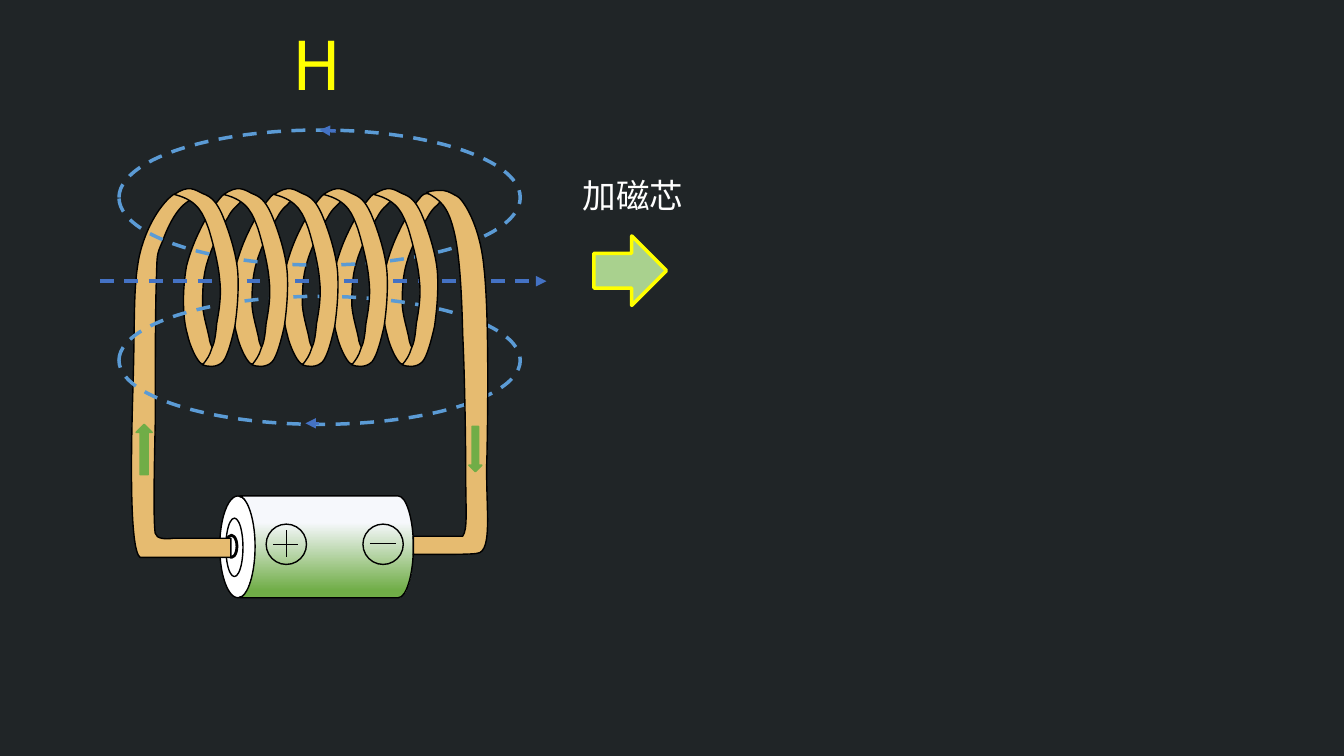
from dataclasses import dataclass
from typing import Any

from lxml.etree import SubElement
from pptx import Presentation
from pptx.dml.color import RGBColor
from pptx.enum.dml import MSO_LINE
from pptx.enum.shapes import MSO_CONNECTOR, MSO_SHAPE as Kind
from pptx.enum.text import MSO_AUTO_SIZE as Fit
from pptx.oxml.ns import qn
from pptx.util import Pt

PX = 9144  # 100 px to the inch
FONT = "Noto Sans CJK SC"
INK = {
    "night": "202527", "copper": "E6BB70", "black": "000000",
    "white": "FFFFFF", "pale": "F6F8FC", "green": "70AD47",
    "lime": "A9D18E", "yellow": "FFFF00", "sky": "5B9BD5", "blue": "4472C4",
}
Path = list[tuple[int, ...]]  # start, then lines (2 numbers) or curves (6)


@dataclass
class Form:
    kind: Any
    box: tuple[int, int, int, int]
    fill: str = ""
    line: str = "black"
    wide: float = 1
    dash: bool = False


@dataclass
class Wire:
    start: tuple[int, int]
    end: tuple[int, int]
    line: str = "black"
    wide: float = 1
    field: bool = False  # dashed, with an arrowhead


@dataclass
class Label:
    text: str
    box: tuple[int, int, int, int]
    size: int
    color: str


# Coil outlines
BACK: Path = [
    (225, 192), (221, 192, 219, 196, 214, 202), (210, 208, 203, 218, 198, 229),
    (193, 239, 188, 252, 185, 264), (183, 276, 182, 287, 182, 298),
    (182, 310, 183, 322, 186, 332), (188, 342, 195, 358, 200, 361),
    (204, 364, 210, 354, 211, 350), (213, 346, 210, 346, 208, 338),
    (207, 330, 202, 316, 201, 303), (201, 290, 201, 274, 206, 259),
    (210, 245, 220, 225, 226, 216), (231, 206, 236, 204, 238, 201),
    (241, 198, 240, 201, 239, 199), (237, 198, 229, 191, 225, 192),
]
FRONT: Path = [
    (173, 193), (187, 183, 193, 188, 201, 192), (209, 195, 214, 199, 220, 212),
    (226, 226, 235, 252, 236, 272), (237, 291, 235, 310, 233, 324),
    (230, 337, 226, 353, 221, 359), (215, 365, 206, 364, 201, 362),
    (205, 357, 208, 353, 210, 346), (213, 340, 214, 332, 215, 321),
    (217, 310, 220, 294, 218, 278), (217, 263, 211, 240, 207, 227),
    (202, 214, 198, 199, 173, 193),
]
LEFT: Path = [
    (176, 192), (179, 192, 183, 194, 188, 199), (175, 206, 166, 226, 161, 240),
    (155, 254, 156, 251, 155, 281), (154, 312, 154, 380, 154, 421),
    (153, 463, 152, 517, 154, 529), (155, 535, 165, 535, 172, 534),
    (173, 534, 191, 534, 217, 534), (229, 534), (229, 553), (139, 553),
    (128, 545, 130, 444, 132, 382), (134, 315, 132, 286, 138, 255),
    (145, 223, 161, 201, 172, 193), (174, 192, 175, 192, 176, 192),
]
RIGHT: Path = [
    (432, 189), (435, 189, 438, 189, 440, 189), (446, 190, 448, 192, 454, 195),
    (459, 198, 476, 222, 480, 265), (485, 308, 484, 404, 483, 452),
    (481, 499, 490, 548, 473, 549), (467, 550, 448, 550, 424, 550),
    (410, 550), (410, 532), (459, 532), (464, 525, 462, 506, 462, 473),
    (462, 439, 461, 373, 459, 332), (458, 291, 456, 251, 450, 228),
    (444, 204, 436, 198, 423, 191), (426, 190, 429, 189, 432, 189),
]
CASE: Path = [
    (238, 492), (395, 492), (403, 492, 410, 515, 410, 542),
    (410, 570, 403, 593, 395, 593), (238, 593), (238, 592), (240, 592),
    (247, 587, 253, 567, 253, 542), (253, 518, 247, 498, 240, 493),
    (238, 493),
]

# Preset shapes, lines and words
CAP = [
    Form(Kind.OVAL, (218, 492, 36, 101), "white"),
    Form(Kind.OVAL, (224, 514, 17, 58)),
    Form(Kind.OVAL, (224, 531, 11, 22), wide=2),
]
POLES = [Form(Kind.OVAL, (x, 520, 40, 40)) for x in (360, 264)]
SIGNS = [
    Wire((271, 540), (296, 540)),
    Wire((367, 539), (393, 539)),
    Wire((284, 526), (284, 553)),
]
RINGS = [
    Form(Kind.OVAL, (118, 129, 398, 134), line="sky", wide=2.5, dash=True),
    Form(Kind.OVAL, (118, 294, 398, 127), line="sky", wide=2.5, dash=True),
]
AXIS = Wire((99, 279), (542, 279), "blue", 2.5, True)
HEADS = [
    Wire((333, 130), (317, 129), "blue", 2.5, True),
    Wire((316, 420), (303, 420), "blue", 2.5, True),
]
ARROWS = [
    Form(Kind.UP_ARROW, (135, 421, 16, 50), "green", "green"),
    Form(Kind.DOWN_ARROW, (465, 423, 13, 45), "green", "green"),
    Form(Kind.RIGHT_ARROW, (589, 234, 72, 69), "lime", "yellow", 2.5),
]
LABELS = [
    Label("H", (280, 18, 67, 91), 48, "yellow"),
    Label("加磁芯", (568, 169, 121, 50), 24, "white"),
]


def tint(name: str) -> RGBColor:
    return RGBColor.from_string(INK[name])


def style(shape: Any, fill: str, line: str, wide: float) -> None:
    shape.shadow.inherit = False
    if fill:
        shape.fill.solid()
        shape.fill.fore_color.rgb = tint(fill)
    else:
        shape.fill.background()
    shape.line.color.rgb = tint(line)
    shape.line.width = Pt(wide)


def draw_form(shapes: Any, form: Form) -> None:
    shape = shapes.add_shape(form.kind, *(v * PX for v in form.box))
    style(shape, form.fill, form.line, form.wide)
    if form.dash:
        shape.line.dash_style = MSO_LINE.DASH


def draw_wire(shapes: Any, wire: Wire) -> None:
    ends = (v * PX for v in wire.start + wire.end)
    link = shapes.add_connector(MSO_CONNECTOR.STRAIGHT, *ends)
    link.line.color.rgb = tint(wire.line)
    link.line.width = Pt(wire.wide)
    props = link._element.spPr
    if wire.field:
        link.line.dash_style = MSO_LINE.DASH
        SubElement(props.find(qn("a:ln")), qn("a:tailEnd"), type="triangle")
    SubElement(props, qn("a:effectLst"))


def draw_path(shapes: Any, path: Path, shift: int = 0) -> Any:
    dots = [((seg[-2] + shift) * PX, seg[-1] * PX) for seg in path]
    pen = shapes.build_freeform(*dots[0], scale=1.0)
    pen.add_line_segments(dots[1:], close=True)
    shape = pen.convert_to_shape()
    style(shape, "copper", "black", 1)
    # Bend the sides that have control points
    sides = list(shape._element.iter(qn("a:lnTo")))
    for side, seg in zip(sides, path[1:]):
        if len(seg) == 6:
            bend = SubElement(side.getparent(), qn("a:cubicBezTo"))
            side.getparent().replace(side, bend)
            for x, y in zip(seg[::2], seg[1::2]):
                across, down = (x + shift) * PX - shape.left, y * PX - shape.top
                SubElement(bend, qn("a:pt"), x=str(across), y=str(down))
    return shape


def draw_label(shapes: Any, label: Label) -> None:
    frame = shapes.add_textbox(*(v * PX for v in label.box)).text_frame
    frame.word_wrap = False
    frame.auto_size = Fit.SHAPE_TO_FIT_TEXT
    run = frame.paragraphs[0].add_run()
    run.text = label.text
    run.font.size = Pt(label.size)
    run.font.color.rgb = tint(label.color)
    run.font.name = FONT
    SubElement(run.font._element, qn("a:ea"), typeface=FONT)


def draw_cell(shapes: Any) -> None:
    for form in CAP:
        draw_form(shapes, form)
    fill = draw_path(shapes, CASE).fill
    fill.gradient()
    fill.gradient_angle = 270
    for stop, place, name in zip(fill.gradient_stops, (0.26, 0.93), ("pale", "green")):
        stop.position = place
        stop.color.rgb = tint(name)
    for form in POLES:
        draw_form(shapes, form)
    for sign in SIGNS:
        draw_wire(shapes, sign)


def main() -> None:
    deck = Presentation()
    deck.slide_width, deck.slide_height = 1333 * PX, 750 * PX
    slide = deck.slides.add_slide(deck.slide_layouts[6])
    slide.background.fill.solid()
    slide.background.fill.fore_color.rgb = tint("night")
    shapes = slide.shapes
    turns = [i * 99 // 2 for i in range(5)]
    # Far side of the coil, and the battery
    for shift in turns[:0:-1]:
        draw_path(shapes, BACK, shift)
    draw_cell(shapes.add_group_shape().shapes)
    draw_path(shapes, LEFT)
    draw_path(shapes, BACK)
    # Magnetic field
    for ring in RINGS:
        draw_form(shapes, ring)
    draw_wire(shapes, AXIS)
    # Near side of the coil; the fourth turn lies over the fifth
    for i in (0, 1, 2, 4, 3):
        draw_path(shapes, FRONT, turns[i])
    draw_path(shapes, RIGHT)
    # Arrows and labels
    for head in HEADS:
        draw_wire(shapes, head)
    for arrow in ARROWS:
        draw_form(shapes, arrow)
    for label in LABELS:
        draw_label(shapes, label)
    deck.save("out.pptx")


if __name__ == "__main__":
    main()
